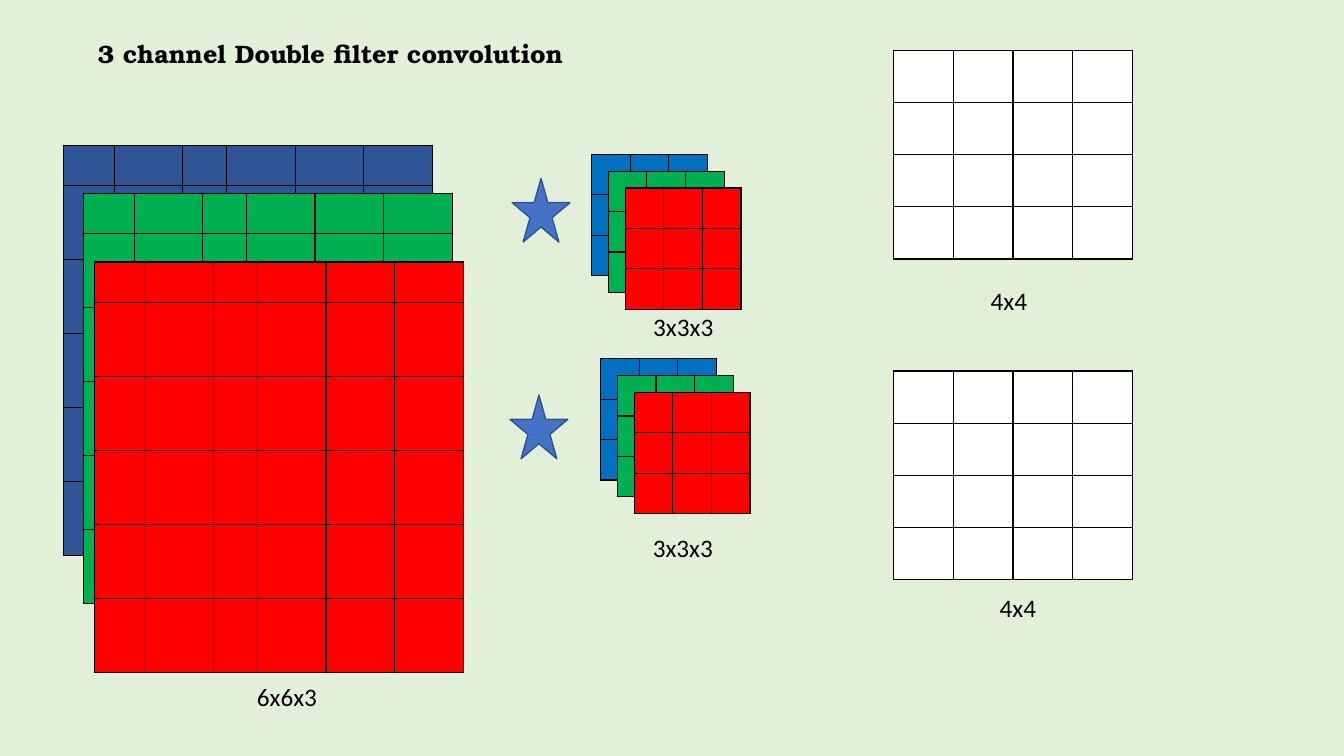
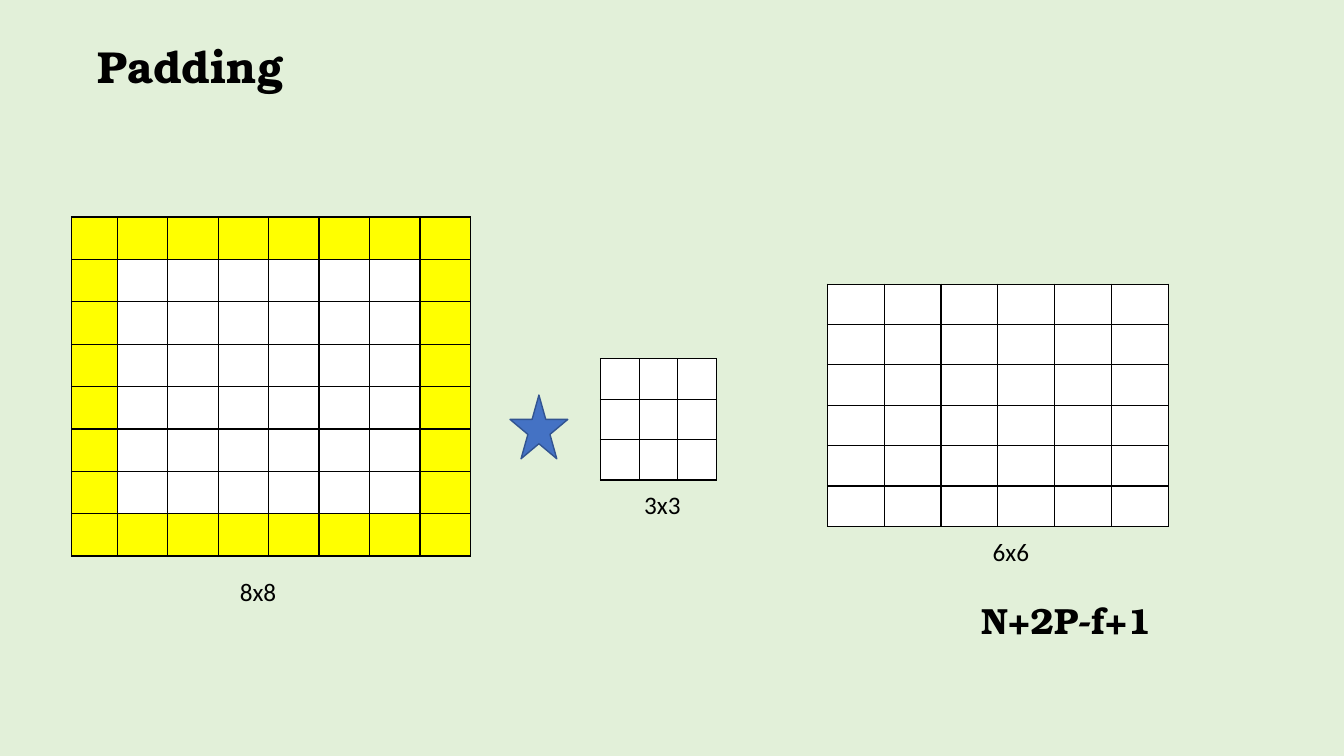
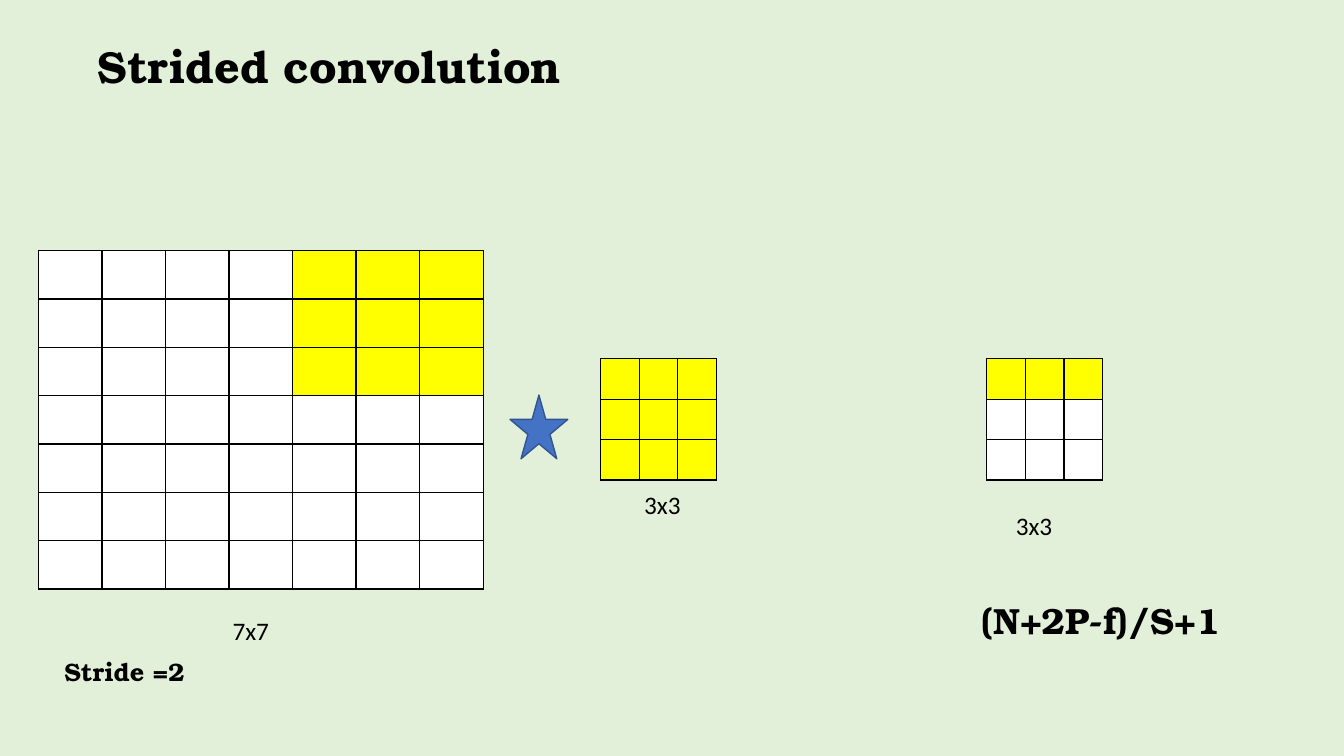
from dataclasses import dataclass
from typing import Callable

from lxml import etree
from pptx import Presentation
from pptx.dml.color import RGBColor
from pptx.enum.shapes import MSO_SHAPE
from pptx.enum.text import MSO_ANCHOR, MSO_AUTO_SIZE, PP_ALIGN
from pptx.oxml.ns import qn
from pptx.slide import Slide
from pptx.table import _Cell
from pptx.text.text import TextFrame
from pptx.util import Pt

STAR = MSO_SHAPE.STAR_5_POINT
LEFT = PP_ALIGN.LEFT
TOP = MSO_ANCHOR.TOP
FIT_SHAPE = MSO_AUTO_SIZE.SHAPE_TO_FIT_TEXT
TITLE_ONLY = 5


@dataclass(frozen=True)
class Theme:
    background: str = "E2F0D9"
    ink: str = "000000"
    blank: str = "FFFFFF"
    marked: str = "FFFF00"
    input_blue: str = "2F5597"
    filter_blue: str = "0070C0"
    green: str = "00B050"
    red: str = "FF0000"
    star: str = "4472C4"
    star_line: str = "325491"
    label_font: str = "Calibri"
    heading_font: str = "TeX Gyre Bonum"
    label_size: float = 18
    formula_size: float = 26
    title_size: float = 32
    line: float = 1


THEME = Theme()


@dataclass(frozen=True)
class Grid:
    """Column widths and row heights of a matrix, in points."""
    columns: tuple[float, ...]
    rows: tuple[float, ...]


def even_grid(count: int, column: float, row: float) -> Grid:
    return Grid((column,) * count, (row,) * count)


@dataclass(frozen=True)
class Text:
    words: str
    left: float
    top: float
    width: float = 74
    height: float = 29
    size: float = THEME.label_size
    heading: bool = False


Colouring = Callable[[int, int], str]

# Matrix sizes
CHANNEL = Grid((36.5, 48.5, 31.5, 49, 49, 49), (29,) + (52.8,) * 5)
KERNEL = even_grid(3, 27.6, 28.8)
FEATURE_MAP = even_grid(4, 42.65, 37.25)
PADDED = Grid((32.8,) + (36.05,) * 7, (30.3,) * 8)
PADDED_RESULT = even_grid(6, 40.6, 28.8)
STRIDED = even_grid(7, 45.4, 34.55)

# Places shared by several slides
KERNEL_LEFT, KERNEL_TOP = 429, 256.3
STAR_LEFT, STAR_TOP = 364.3, 282.2
KERNEL_STEP = 12
KERNEL_LABEL = Text("3x3", 453, 346.3)


def rgb(colour: str) -> RGBColor:
    return RGBColor.from_string(colour)


def plain(colour: str) -> Colouring:
    return lambda row, column: colour


def marked_where(test: Callable[[int, int], bool]) -> Colouring:
    return lambda row, column: THEME.marked if test(row, column) else THEME.blank


# Text
def write(frame: TextFrame, text: Text) -> None:
    frame.word_wrap = True
    frame.auto_size = FIT_SHAPE
    frame.vertical_anchor = TOP
    paragraph = frame.paragraphs[0]
    paragraph.alignment = LEFT
    run = paragraph.add_run()
    run.text = text.words
    run.font.name = THEME.heading_font if text.heading else THEME.label_font
    run.font.size = Pt(text.size)
    run.font.bold = text.heading
    run.font.color.rgb = rgb(THEME.ink)


def add_text(slide: Slide, text: Text) -> None:
    box = slide.shapes.add_textbox(
        Pt(text.left), Pt(text.top), Pt(text.width), Pt(text.height))
    write(box.text_frame, text)


def add_formula(slide: Slide, words: str, width: float) -> None:
    add_text(slide, Text(words, 694, 423.4, width, 39, THEME.formula_size, True))


def add_titled_slide(prs: Presentation, words: str, width: float,
                     height: float = 46, size: float = THEME.title_size) -> Slide:
    slide = prs.slides.add_slide(prs.slide_layouts[TITLE_ONLY])
    heading = Text(words, 62.5, 24, width, height, size, True)
    title = slide.shapes.title
    title.left, title.top = Pt(heading.left), Pt(heading.top)
    title.width, title.height = Pt(width), Pt(height)
    write(title.text_frame, heading)
    return slide


# Matrices
def outline(cell: _Cell) -> None:
    properties = cell._tc.get_or_add_tcPr()
    for side in ("a:lnL", "a:lnR", "a:lnT", "a:lnB"):
        edge = etree.SubElement(properties, qn(side), w=str(Pt(THEME.line)))
        fill = etree.SubElement(edge, qn("a:solidFill"))
        etree.SubElement(fill, qn("a:srgbClr"), val=THEME.ink)


def add_matrix(slide: Slide, grid: Grid, left: float, top: float,
               colouring: Colouring) -> None:
    table = slide.shapes.add_table(
        len(grid.rows), len(grid.columns), Pt(left), Pt(top),
        Pt(sum(grid.columns)), Pt(sum(grid.rows))).table
    table.first_row = table.horz_banding = False
    for column, width in zip(table.columns, grid.columns):
        column.width = Pt(width)
    for r, height in enumerate(grid.rows):
        table.rows[r].height = Pt(height)
        for c in range(len(grid.columns)):
            cell = table.cell(r, c)
            outline(cell)
            cell.fill.solid()
            cell.fill.fore_color.rgb = rgb(colouring(r, c))


def add_kernel_stack(slide: Slide, left: float, top: float) -> None:
    for depth, colour in enumerate((THEME.filter_blue, THEME.green, THEME.red)):
        shift = depth * KERNEL_STEP
        add_matrix(slide, KERNEL, left + shift, top + shift, plain(colour))


def add_star(slide: Slide, left: float = STAR_LEFT, top: float = STAR_TOP) -> None:
    star = slide.shapes.add_shape(STAR, Pt(left), Pt(top), Pt(41.3), Pt(45.5))
    star.shadow.inherit = False
    star.fill.solid()
    star.fill.fore_color.rgb = rgb(THEME.star)
    star.line.color.rgb = rgb(THEME.star_line)
    star.line.width = Pt(THEME.line)


# Slides
def build_double_filter(prs: Presentation) -> None:
    slide = add_titled_slide(prs, "3 channel Double filter convolution",
                             360, 29, THEME.label_size)
    for left, top, colour in ((45.4, 103.7, THEME.input_blue),
                              (59.6, 138, THEME.green),
                              (67.5, 187.2, THEME.red)):
        add_matrix(slide, CHANNEL, left, top, plain(colour))
    add_star(slide, 365.8, 127.4)
    add_star(slide)
    add_kernel_stack(slide, 422.5, 110.3)
    add_kernel_stack(slide, KERNEL_LEFT, KERNEL_TOP)
    for top in (36, 265):
        add_matrix(slide, FEATURE_MAP, 638.3, top, plain(THEME.blank))
    for label in (Text("6x6x3", 176.4, 483.1), Text("3x3x3", 459.5, 219),
                  Text("3x3x3", 459.2, 376.6), Text("4x4", 700.5, 200.2),
                  Text("4x4", 707, 419.8)):
        add_text(slide, label)


def build_padding(prs: Presentation) -> None:
    slide = add_titled_slide(prs, "Padding", 304)
    last = len(PADDED.rows) - 1
    add_matrix(slide, PADDED, 51, 155,
               marked_where(lambda r, c: r in (0, last) or c in (0, last)))
    add_star(slide)
    add_matrix(slide, KERNEL, KERNEL_LEFT, KERNEL_TOP, plain(THEME.blank))
    add_matrix(slide, PADDED_RESULT, 591, 203, plain(THEME.blank))
    for label in (Text("8x8", 164.2, 408.2), KERNEL_LABEL,
                  Text("6x6", 702, 379.4)):
        add_text(slide, label)
    add_formula(slide, "N+2P-f+1", 159)


def build_strided(prs: Presentation) -> None:
    slide = add_titled_slide(prs, "Strided convolution", 412)
    window = len(KERNEL.rows)
    first_marked = len(STRIDED.columns) - window
    add_matrix(slide, STRIDED, 27.4, 179,
               marked_where(lambda r, c: r < window and c >= first_marked))
    add_star(slide)
    add_matrix(slide, KERNEL, KERNEL_LEFT, KERNEL_TOP, plain(THEME.marked))
    add_matrix(slide, KERNEL, 704.8, KERNEL_TOP, marked_where(lambda r, c: r == 0))
    for label in (Text("7x7", 159, 436.3), KERNEL_LABEL,
                  Text("3x3", 718.5, 360.7),
                  Text("Stride =2", 38.9, 465.1, 225, heading=True)):
        add_text(slide, label)
    add_formula(slide, "(N+2P-f)/S+1", 192)


def main() -> None:
    prs = Presentation()
    prs.slide_width, prs.slide_height = Pt(960), Pt(540)
    backdrop = prs.slide_master.background.fill
    backdrop.solid()
    backdrop.fore_color.rgb = rgb(THEME.background)
    build_double_filter(prs)
    build_padding(prs)
    build_strided(prs)
    prs.save("out.pptx")


if __name__ == "__main__":
    main()
